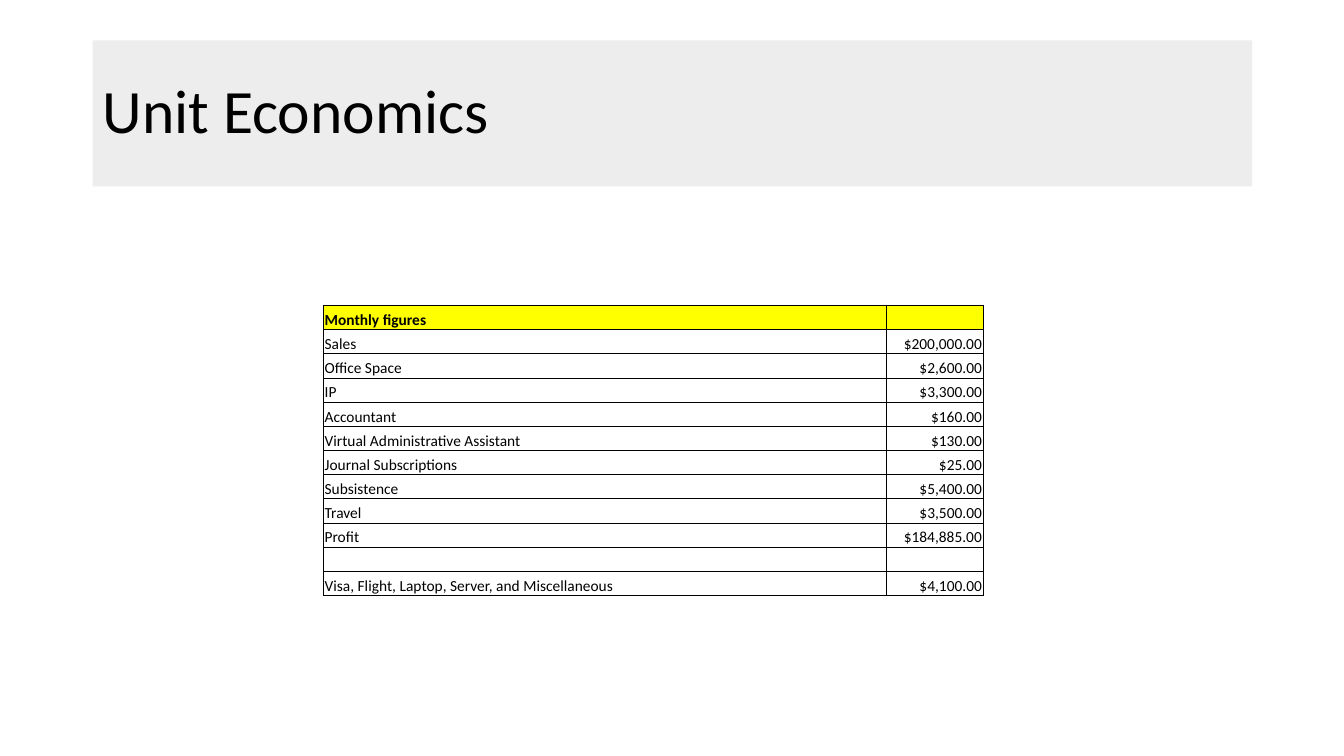
"""Build the Unit Economics slide: a title band above a table of monthly figures."""
from dataclasses import dataclass

from lxml import etree
from pptx import Presentation
from pptx.dml.color import RGBColor
from pptx.enum.shapes import MSO_SHAPE
from pptx.enum.text import MSO_ANCHOR, PP_ALIGN
from pptx.oxml.ns import qn
from pptx.util import Inches, Pt

RECTANGLE = MSO_SHAPE.RECTANGLE
MIDDLE, BOTTOM = MSO_ANCHOR.MIDDLE, MSO_ANCHOR.BOTTOM
LEFT, RIGHT = PP_ALIGN.LEFT, PP_ALIGN.RIGHT
FONT = "Calibri"
BLACK, GRAY, YELLOW = "000000", "EDEDED", "FFFF00"
SLIDE_WIDTH, SLIDE_HEIGHT = 13.33, 7.5
TABLE_LEFT, TABLE_TOP = 3.21, 3.03
COLUMN_WIDTHS = (5.58, 0.96)
ROW_HEIGHT = 0.24
CELL_INSET = 0.01
BORDER_WIDTH = Pt(0.5)
BORDER_SIDES = ("a:lnL", "a:lnR", "a:lnT", "a:lnB")


@dataclass(frozen=True)
class Figure:
    label: str = ""
    amount: str = ""
    heading: bool = False


FIGURES = (
    Figure("Monthly figures", heading=True),
    Figure("Sales", "$200,000.00"),
    Figure("Office Space", "$2,600.00"),
    Figure("IP", "$3,300.00"),
    Figure("Accountant", "$160.00"),
    Figure("Virtual Administrative Assistant", "$130.00"),
    Figure("Journal Subscriptions", "$25.00"),
    Figure("Subsistence", "$5,400.00"),
    Figure("Travel", "$3,500.00"),
    Figure("Profit", "$184,885.00"),
    Figure(),
    Figure("Visa, Flight, Laptop, Server, and Miscellaneous", "$4,100.00"),
)


def color(value: str) -> RGBColor:
    return RGBColor.from_string(value)


def write(para, text: str, size: int, align, bold: bool = False) -> None:
    para.text = text
    para.alignment = align
    para.font.name = FONT
    para.font.size = Pt(size)
    para.font.bold = bold
    para.font.color.rgb = color(BLACK)
    if not text:
        para._p.get_or_add_endParaRPr().set("sz", str(size * 100))


def add_title(page, text: str) -> None:
    box = page.shapes.add_shape(
        RECTANGLE, Inches(0.92), Inches(0.4), Inches(11.5), Inches(1.45))
    box.shadow.inherit = False
    box.fill.solid()
    box.fill.fore_color.rgb = color(GRAY)
    box.line.fill.background()
    frame = box.text_frame
    frame.word_wrap = True
    frame.vertical_anchor = MIDDLE
    write(frame.paragraphs[0], text, 44, LEFT)
    frame.paragraphs[0].line_spacing = 0.9


def add_borders(cell) -> None:
    properties = cell._tc.get_or_add_tcPr()
    for side in BORDER_SIDES:
        line = etree.SubElement(properties, qn(side), w=str(BORDER_WIDTH))
        fill = etree.SubElement(line, qn("a:solidFill"))
        etree.SubElement(fill, qn("a:srgbClr"), val=BLACK)


def fill_cell(cell, text: str, align, heading: bool) -> None:
    add_borders(cell)
    if heading:
        cell.fill.solid()
        cell.fill.fore_color.rgb = color(YELLOW)
    else:
        cell.fill.background()
    cell.margin_left = cell.margin_right = cell.margin_top = Inches(CELL_INSET)
    cell.margin_bottom = 0
    cell.vertical_anchor = BOTTOM
    write(cell.text_frame.paragraphs[0], text, 11, align, heading)


def add_figures(page, figures: tuple[Figure, ...]) -> None:
    table = page.shapes.add_table(
        len(figures), len(COLUMN_WIDTHS), Inches(TABLE_LEFT), Inches(TABLE_TOP),
        Inches(sum(COLUMN_WIDTHS)), Inches(ROW_HEIGHT * len(figures))).table
    table.first_row = table.horz_banding = False
    for column, width in zip(table.columns, COLUMN_WIDTHS):
        column.width = Inches(width)
    for row, figure in zip(table.rows, figures):
        row.height = Inches(ROW_HEIGHT)
        label, amount = row.cells
        fill_cell(label, figure.label, LEFT, figure.heading)
        fill_cell(amount, figure.amount, RIGHT, figure.heading)


def main() -> None:
    deck = Presentation()
    deck.slide_width, deck.slide_height = Inches(SLIDE_WIDTH), Inches(SLIDE_HEIGHT)
    page = deck.slides.add_slide(deck.slide_layouts[6])
    add_title(page, "Unit Economics")
    add_figures(page, FIGURES)
    deck.save("out.pptx")


if __name__ == "__main__":
    main()
